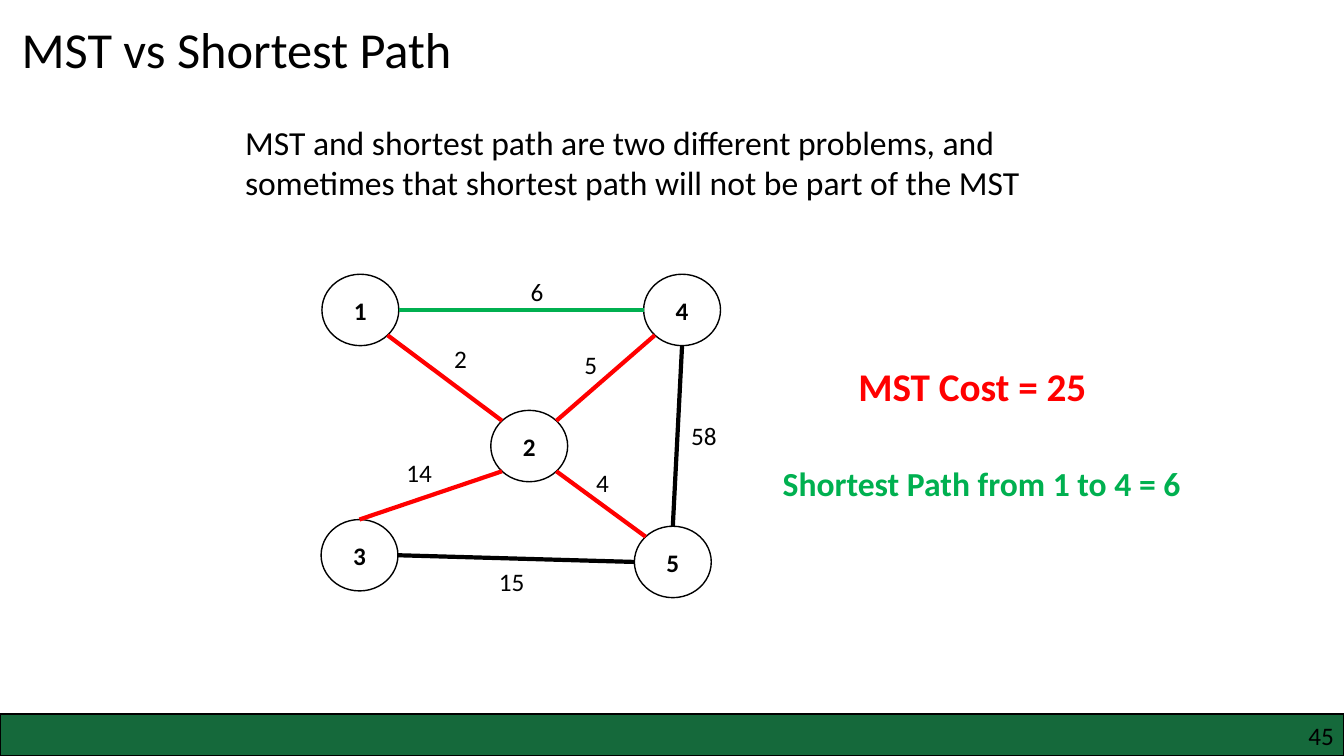
import math
import lxml.etree
import pptx
import pptx.dml.color
import pptx.enum.shapes
import pptx.enum.text
import pptx.oxml.ns
import pptx.util

COLUMNS, ROWS = 160, 90
BLACK, WHITE, RED, GREEN, FOREST = "000000", "FFFFFF", "FF0000", "00B050", "15693B"
align = pptx.enum.text.PP_ALIGN
anchors = pptx.enum.text.MSO_ANCHOR
presets = pptx.enum.shapes.MSO_SHAPE
color = pptx.dml.color.RGBColor.from_string

deck = pptx.Presentation()
deck.slide_width = pptx.util.Inches(13.3333)
deck.slide_height = pptx.util.Inches(7.5)
slide = deck.slides.add_slide(deck.slide_layouts[6])


def grid(*places):
    units = deck.slide_width / COLUMNS, deck.slide_height / ROWS
    return [round(place * units[i % 2]) for i, place in enumerate(places)]


def write(text, at=None, shape=None, size=18, ink=BLACK, bold=False,
          alignment=align.LEFT, anchor=anchors.TOP, wrap=False, inset=None):
    if shape is None:
        shape = slide.shapes.add_textbox(*grid(*at))
        shape.text_frame.auto_size = pptx.enum.text.MSO_AUTO_SIZE.SHAPE_TO_FIT_TEXT
    frame = shape.text_frame
    frame.word_wrap = wrap
    frame.vertical_anchor = anchor
    if inset is not None:
        frame.margin_left = frame.margin_right = inset
        frame.margin_top = frame.margin_bottom = inset
    paragraph = frame.paragraphs[0]
    paragraph.alignment = alignment
    run = paragraph.add_run()
    run.text = text
    run.font.name = "Calibri"
    run.font.size = pptx.util.Pt(size)
    run.font.bold = bold
    run.font.color.rgb = color(ink)


write("MST vs Shortest Path", (1.4, 1.6, 54, 8.5), size=36)
write("MST and shortest path are two different problems, and sometimes that "
      "shortest path will not be part of the MST",
      (28, 13.9, 97.2, 10.9), size=24, wrap=True)

node_width, node_height = 9.15, 8.5
centers = {1: (42.9, 36.9), 4: (81.2, 36.9), 2: (63, 53.1),
           3: (42.8, 66.1), 5: (80.1, 66.9)}
for vertex, (x, y) in centers.items():
    node = slide.shapes.add_shape(presets.OVAL, *grid(
        x - node_width / 2, y - node_height / 2, node_width, node_height))
    node.shadow.inherit = False
    node.fill.solid()
    node.fill.fore_color.rgb = color(WHITE)
    node.line.color.rgb = color(BLACK)
    node.line.width = pptx.util.Pt(1)
    write(str(vertex), shape=node, bold=True, alignment=align.CENTER,
          anchor=anchors.MIDDLE, wrap=True)

edges = [
    (1, 0, 4, 180, GREEN, "6", (62, 32.3)),
    (1, 45, 2, 225, RED, "2", (52.9, 40.3)),
    (4, 135, 2, 315, RED, "5", (68.4, 41)),
    (2, 135, 3, 270, RED, "14", (47.2, 53.9)),
    (2, 45, 5, 225, RED, "4", (69.8, 55.1)),
    (4, 90, 5, 270, BLACK, "58", (81.1, 49.4)),
    (3, 0, 5, 180, BLACK, "15", (58.2, 66.8)),
]
for start, start_angle, end, end_angle, ink, weight, (left, top) in edges:
    ends = []
    for vertex, angle in ((start, start_angle), (end, end_angle)):
        x, y = centers[vertex]
        ends += [x + node_width / 2 * math.cos(math.radians(angle)),
                 y + node_height / 2 * math.sin(math.radians(angle))]
    edge = slide.shapes.add_connector(
        pptx.enum.shapes.MSO_CONNECTOR.STRAIGHT, *grid(*ends))
    edge.line.color.rgb = color(ink)
    edge.line.width = pptx.util.Pt(3)
    lxml.etree.SubElement(edge.element.spPr, pptx.oxml.ns.qn("a:effectLst"))
    write(weight, (left, top, 2.45 + 1.52 * len(weight), 4.8))

write("MST Cost = 25", (101, 42.5, 29.9, 6.8), size=28, ink=RED, bold=True)
write("Shortest Path from 1 to 4 = 6", (92, 54.5, 50.2, 6),
      size=24, ink=GREEN, bold=True)

footer = slide.shapes.add_shape(presets.RECTANGLE, *grid(0, 85, COLUMNS, 5))
footer.shadow.inherit = False
footer.fill.solid()
footer.fill.fore_color.rgb = color(FOREST)
footer.line.color.rgb = color(BLACK)
footer.line.width = pptx.util.Pt(1)
write("45", (122, 85.8, 36.8, 3.6), alignment=align.RIGHT, wrap=True, inset=0)

deck.save("out.pptx")
